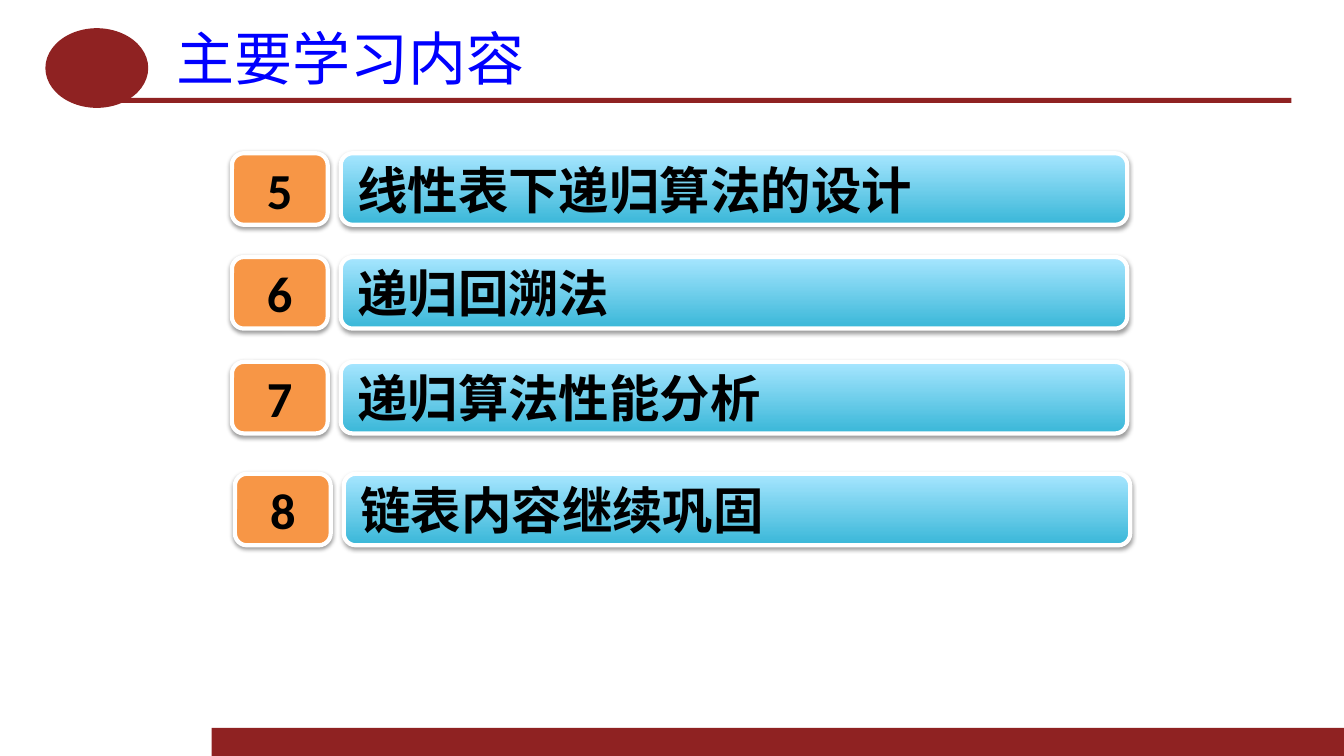
from lxml import etree
from pptx import Presentation
from pptx import util as u
from pptx.dml.color import RGBColor
from pptx.enum import shapes, text
from pptx.oxml import ns

# Content: number, topic, left shift and top of each row
TITLE = "主要学习内容"
TOPICS = [
    ("5", "线性表下递归算法的设计", 0, 1.52),
    ("6", "递归回溯法", 0, 2.55),
    ("7", "递归算法性能分析", 0, 3.59),
    ("8", "链表内容继续巩固", 0.03, 4.7),
]
NUMBER_LEFT, NUMBER_WIDTH = 2.3, 0.95
TOPIC_LEFT, TOPIC_WIDTH = 3.38, 7.8
ROW_HEIGHT = 0.71

MAROON = RGBColor(0x8F, 0x22, 0x22)
BLUE = RGBColor(0x00, 0x00, 0xFF)
ORANGE = RGBColor(0xF7, 0x96, 0x46)
DEEP_CYAN = RGBColor(0x39, 0xB7, 0xD8)
PALE_CYAN = RGBColor(0xA7, 0xE6, 0xFF)
WHITE = RGBColor(0xFF, 0xFF, 0xFF)
BLACK = RGBColor(0x00, 0x00, 0x00)
CHINESE_FONT = "Noto Sans CJK SC"

MSO = shapes.MSO_SHAPE
ALIGN = text.PP_ALIGN

presentation = Presentation()
presentation.slide_width = u.Inches(13.33)
presentation.slide_height = u.Inches(7.5)
slide = presentation.slides.add_slide(presentation.slide_layouts[6])


def add_shape(kind, *box):
    shape = slide.shapes.add_shape(kind, *map(u.Inches, box))
    shape.shadow.inherit = False
    return shape


def write(shape, words, size, font_name, color, align, bold=False):
    frame = shape.text_frame
    frame.word_wrap = True
    frame.vertical_anchor = text.MSO_ANCHOR.MIDDLE
    frame.margin_left = frame.margin_right = u.Inches(0.13)
    frame.margin_top = frame.margin_bottom = u.Inches(0.06)
    paragraph = frame.paragraphs[0]
    paragraph.alignment = align
    run = paragraph.add_run()
    run.text = words
    font = run.font
    font.size, font.name, font.bold = u.Pt(size), font_name, bold
    font.color.rgb = color
    east_asian = etree.SubElement(run._r.get_or_add_rPr(), ns.qn("a:ea"))
    east_asian.set("typeface", CHINESE_FONT)


def add_soft_shadow(shape):
    effects = shape._element.spPr.find(ns.qn("a:effectLst"))
    shadow = etree.SubElement(
        effects, ns.qn("a:outerShdw"), blurRad=str(u.Pt(3.1)),
        dist=str(u.Pt(1.6)), dir="5400000", rotWithShape="0")
    color = etree.SubElement(shadow, ns.qn("a:srgbClr"), val=str(BLACK))
    etree.SubElement(color, ns.qn("a:alpha"), val="38000")


def add_card(left, top, width, words, align):
    card = add_shape(MSO.ROUNDED_RECTANGLE, left, top, width, ROW_HEIGHT)
    card.line.color.rgb = WHITE
    card.line.width = u.Pt(3)
    add_soft_shadow(card)
    write(card, words, 36, "Calibri", BLACK, align, bold=True)
    return card


# Maroon decoration: footer bar, title rule, ellipse
for kind, box in [
    (MSO.RECTANGLE, (2.1, 7.22, 11.23, 0.28)),
    (MSO.RECTANGLE, (1.18, 0.97, 11.63, 0.05)),
    (MSO.OVAL, (0.45, 0.28, 1.02, 0.79)),
]:
    decoration = add_shape(kind, *box)
    decoration.fill.solid()
    decoration.fill.fore_color.rgb = MAROON
    decoration.line.fill.background()

# Title
title = slide.shapes.add_textbox(*map(u.Inches, (1.62, 0.21, 11.19, 0.71)))
write(title, TITLE, 41.4, CHINESE_FONT, BLUE, ALIGN.JUSTIFY)

# Numbered topics
for number, topic, shift, top in TOPICS:
    badge = add_card(NUMBER_LEFT + shift, top, NUMBER_WIDTH, number, ALIGN.CENTER)
    badge.fill.solid()
    badge.fill.fore_color.rgb = ORANGE

    bar = add_card(TOPIC_LEFT + shift, top, TOPIC_WIDTH, topic, ALIGN.JUSTIFY)
    bar.fill.gradient()
    bar.fill.gradient_angle = 90
    for stop, color, position in zip(
            bar.fill.gradient_stops, (DEEP_CYAN, PALE_CYAN), (0, 1)):
        stop.color.rgb = color
        stop.position = position

presentation.save("out.pptx")
